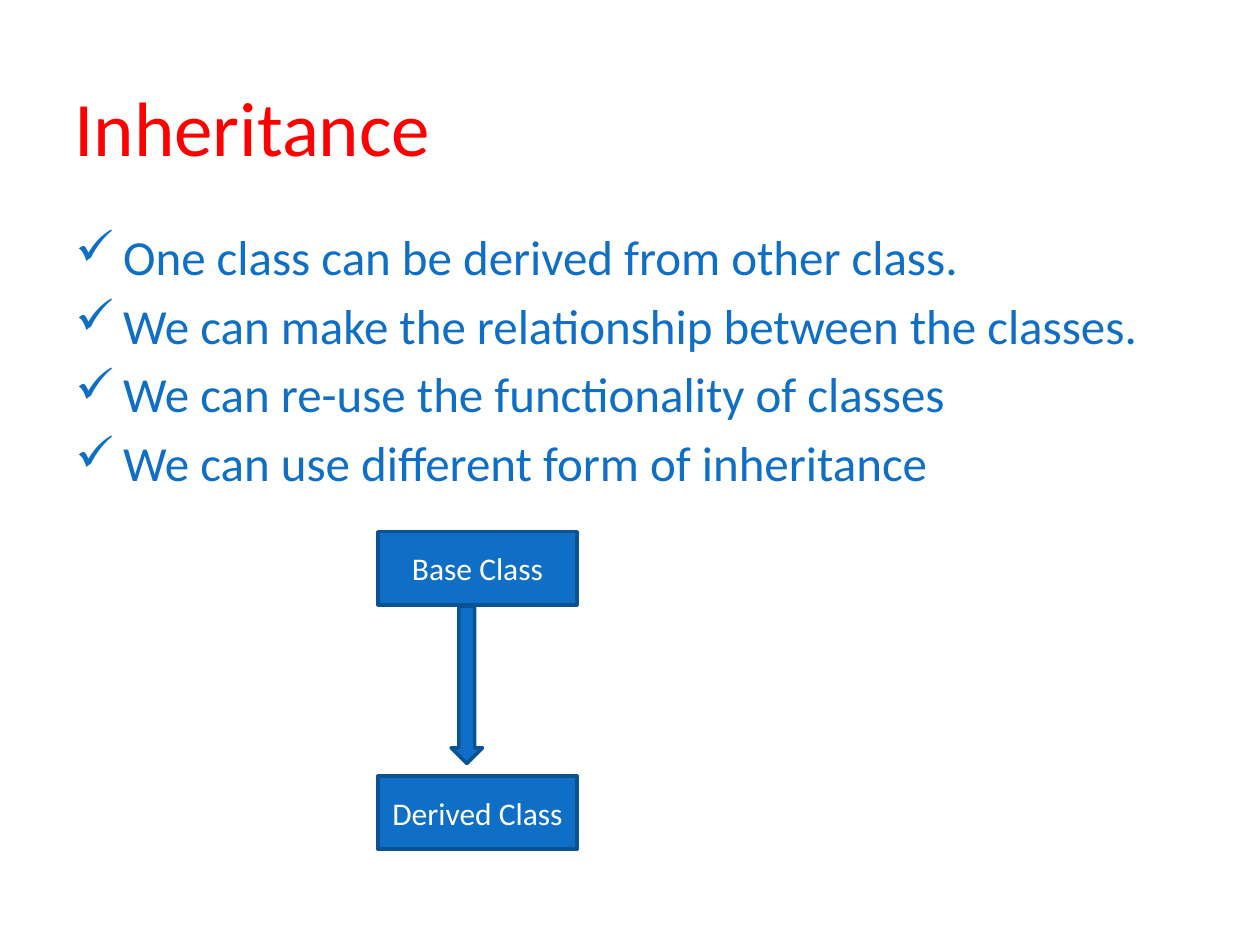
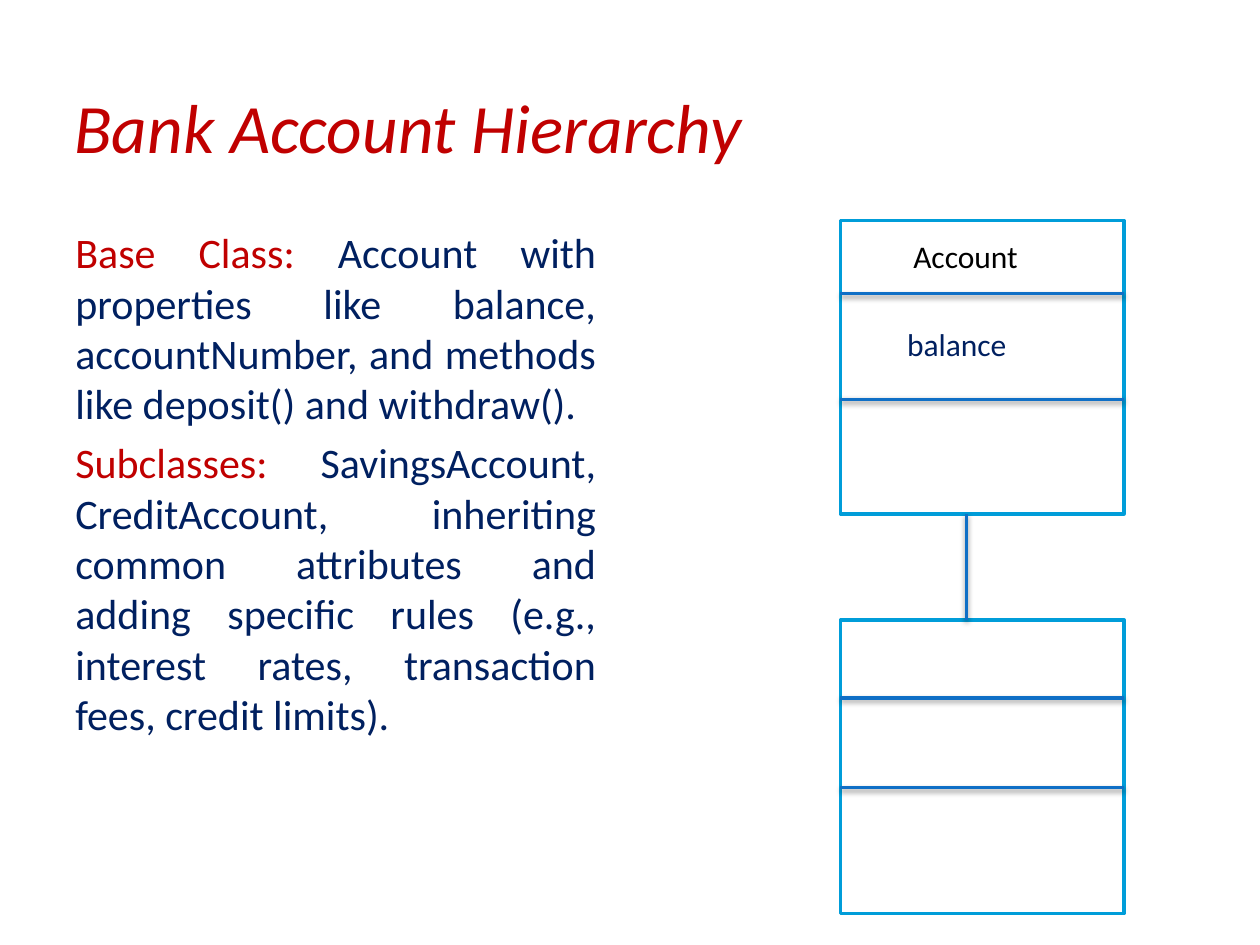
from lxml import etree
from pptx import Presentation
from pptx.dml.color import RGBColor
from pptx.enum.shapes import MSO_CONNECTOR, MSO_SHAPE
from pptx.enum.text import MSO_ANCHOR, PP_ALIGN
from pptx.oxml.ns import qn
from pptx.util import Inches, Pt

LEFT, CENTER, JUSTIFY = PP_ALIGN.LEFT, PP_ALIGN.CENTER, PP_ALIGN.JUSTIFY
TOP, MIDDLE = MSO_ANCHOR.TOP, MSO_ANCHOR.MIDDLE
RECTANGLE, DOWN_ARROW = MSO_SHAPE.RECTANGLE, MSO_SHAPE.DOWN_ARROW
STRAIGHT = MSO_CONNECTOR.STRAIGHT

FONT = "Calibri"
TITLE_ONLY = 5
TITLE_BOX = (0.49, 0.5, 9, 1)
LINE_WIDTH = 2
COLORS = {
    "red": "FF0000",
    "dark_red": "C00000",
    "blue": "0F6FC6",
    "dark_blue": "0B5292",
    "cyan": "009DD9",
    "navy": "002060",
    "white": "FFFFFF",
    "black": "000000",
}


def color(name):
    return RGBColor.from_string(COLORS[name])


def inches(*lengths):
    return [Inches(length) for length in lengths]


def write(frame, *paragraphs, size=18, fill="white", italic=False, align=LEFT,
          anchor=TOP, wrap=True, spacing=0, bullet=None):
    """Fill a text frame; a paragraph is a string or a list of (text, colour) runs."""
    frame.word_wrap = wrap
    frame.vertical_anchor = anchor
    for index, content in enumerate(paragraphs):
        paragraph = frame.add_paragraph() if index else frame.paragraphs[0]
        paragraph.alignment = align
        paragraph.space_before = Pt(size * spacing)
        runs = [(content, fill)] if isinstance(content, str) else content
        for text, run_color in runs:
            run = paragraph.add_run()
            run.text = text
            run.font.name = FONT
            run.font.size = Pt(size)
            run.font.italic = italic
            run.font.color.rgb = color(run_color)
        if bullet:
            add_bullet(paragraph, bullet)


def add_bullet(paragraph, mark, indent=0.38):
    properties = paragraph._p.get_or_add_pPr()
    properties.set("marL", str(Inches(indent)))
    properties.set("indent", str(-Inches(indent)))
    etree.SubElement(properties, qn("a:buChar"), char=mark)


def add_titled_slide(deck, title, **style):
    slide = deck.slides.add_slide(deck.slide_layouts[TITLE_ONLY])
    heading = slide.shapes.title
    heading.left, heading.top, heading.width, heading.height = inches(*TITLE_BOX)
    write(heading.text_frame, title, anchor=MIDDLE, **style)
    return slide


def add_text(slide, box, *paragraphs, **style):
    area = slide.shapes.add_textbox(*inches(*box))
    write(area.text_frame, *paragraphs, **style)


def add_block(slide, kind, box, fill, outline):
    block = slide.shapes.add_shape(kind, *inches(*box))
    block.shadow.inherit = False
    block.fill.solid()
    block.fill.fore_color.rgb = color(fill)
    block.line.color.rgb = color(outline)
    block.line.width = Pt(LINE_WIDTH)
    return block


def add_shadowed_line(slide, start, end):
    line = slide.shapes.add_connector(STRAIGHT, *inches(*start, *end))
    line.line.color.rgb = color("blue")
    line.line.width = Pt(LINE_WIDTH)
    effects = etree.SubElement(line._element.spPr, qn("a:effectLst"))
    shadow = etree.SubElement(effects, qn("a:outerShdw"), blurRad=str(Pt(3.1)),
                              dist=str(Pt(1.6)), dir="5400000", rotWithShape="0")
    shade = etree.SubElement(shadow, qn("a:srgbClr"), val=COLORS["black"])
    etree.SubElement(shade, qn("a:alpha"), val="38000")


def add_derivation(slide, left, top, width, height):
    """Draw the base class at the top of the box, the derived one at its foot."""
    class_height = 0.58
    class_tops = {"Base Class": top, "Derived Class": top + height - class_height}
    for name, class_top in class_tops.items():
        block = add_block(slide, RECTANGLE, (left, class_top, width, class_height),
                          "blue", "dark_blue")
        write(block.text_frame, name, align=CENTER, anchor=MIDDLE)
    add_block(slide, DOWN_ARROW, (left + 0.58, top + class_height + 0.01, 0.25, 1.25),
              "blue", "dark_blue")


def add_class_diagram(slide, left, top, width, height, dividers):
    """Draw a class box with lines at the given distances below its top."""
    add_block(slide, RECTANGLE, (left, top, width, height), "white", "cyan")
    for offset in dividers:
        add_shadowed_line(slide, (left, top + offset), (left + width, top + offset))


def add_account_hierarchy(slide, left, top, width, height):
    class_height = 2.33
    subclass_top = top + height - class_height
    add_class_diagram(slide, left, top, width, class_height, (0.58, 1.42))
    add_class_diagram(slide, left, subclass_top, width, class_height, (0.62, 1.33))
    add_shadowed_line(slide, (left + 1, top + class_height), (left + 1, subclass_top))
    add_text(slide, (left + 0.48, top + 0.08, 1.04, 0.4), "Account",
             fill="black", wrap=False)
    add_text(slide, (left + 0.43, top + 0.78, 1.08, 0.4), "balance", fill="navy")


def build_inheritance(deck):
    slide = add_titled_slide(deck, "Inheritance", size=44, fill="red")
    add_text(slide, (0.5, 1.75, 9, 3.83),
             "One class can be derived from other class.",
             "We can make the relationship between the classes.",
             "We can re-use the functionality of classes",
             "We can use different form of inheritance",
             size=28, fill="blue", spacing=0.2, bullet="✓")
    add_derivation(slide, 3, 4.22, 1.58, 2.52)


def build_bank_accounts(deck):
    slide = add_titled_slide(deck, "Bank Account Hierarchy", size=39.6,
                             fill="dark_red", italic=True)
    add_text(slide, (0.5, 1.75, 4.33, 3.83),
             [("Base Class: ", "dark_red"),
              ("Account with properties like balance, accountNumber, and methods "
               "like deposit() and withdraw().", "navy")],
             [("Subclasses: ", "dark_red"),
              ("SavingsAccount, CreditAccount, inheriting common attributes and "
               "adding specific rules (e.g., interest rates, transaction fees, "
               "credit limits).", "navy")],
             size=24, align=JUSTIFY, spacing=0.2)
    add_account_hierarchy(slide, 6.67, 1.75, 2.25, 5.5)


def main():
    deck = Presentation()
    deck.slide_width, deck.slide_height = inches(10, 7.5)
    build_inheritance(deck)
    build_bank_accounts(deck)
    deck.save("out.pptx")


if __name__ == "__main__":
    main()
